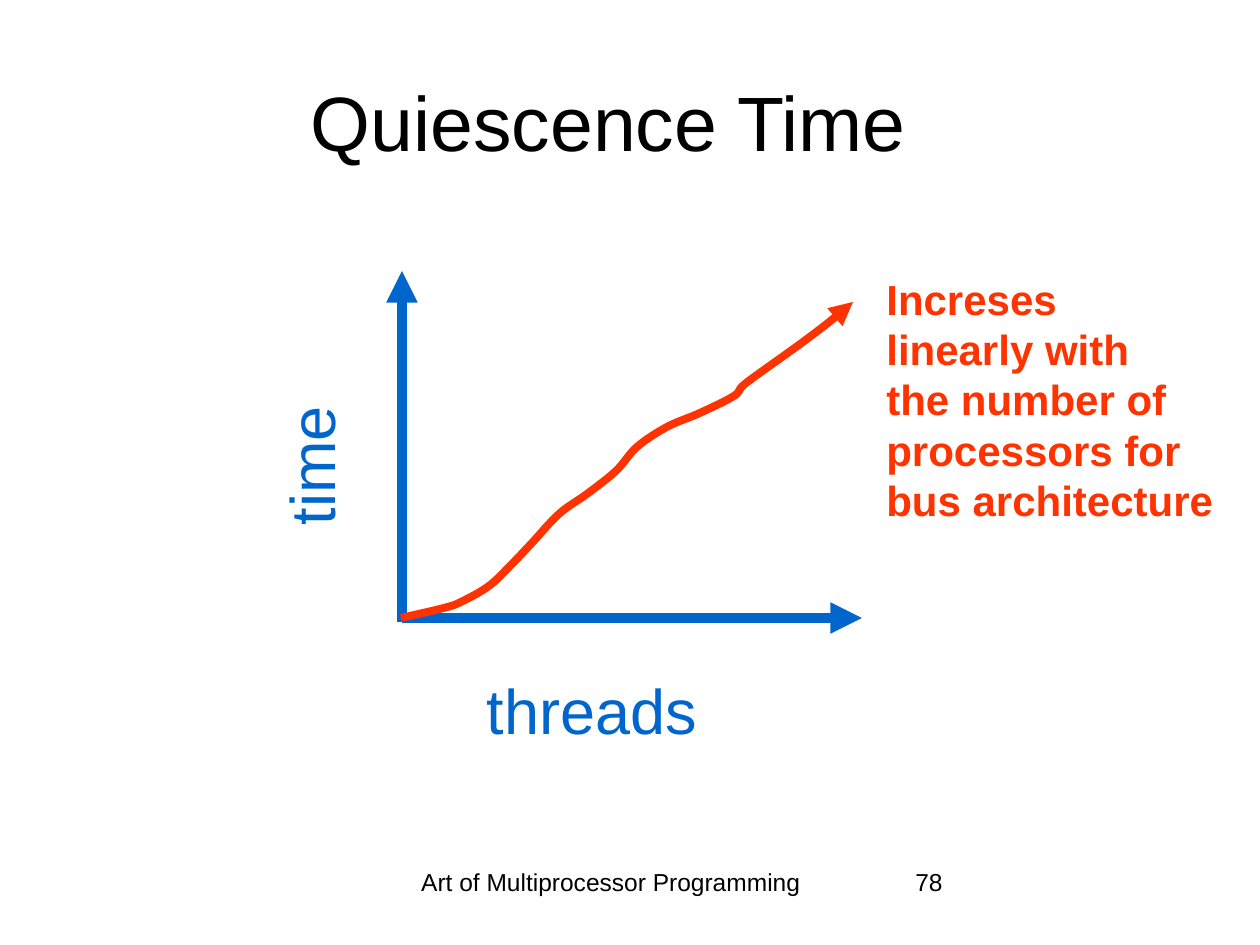
from lxml import etree
from pptx import Presentation
from pptx import util as u
from pptx.dml.color import RGBColor
from pptx.enum import shapes, text
from pptx.oxml import ns

SCALE = 914400 / 126
BLACK, BLUE, RED = "000000", "0066CC", "FF3300"
CURVE = [(0, 316), (43, 306), (60, 300), (88, 284), (111, 262), (131, 241),
         (158, 212), (186, 192), (215, 169), (236, 145), (266, 125), (299, 111),
         (333, 94), (344, 82), (384, 53), (402, 40), (427, 21), (452, 0)]


def px(length):
    """Turn a length in px into EMU."""
    return u.Emu(round(length * SCALE))


def color(value):
    """Turn a hex string into a colour."""
    return RGBColor.from_string(value)


def write(shape, lines, size, ink, align=text.PP_ALIGN.LEFT, bold=False):
    """Fill a shape with one paragraph per line."""
    shape.text_frame.text = "\n".join(lines)
    for paragraph in shape.text_frame.paragraphs:
        paragraph.alignment = align
        for run in paragraph.runs:
            run.font.name = "Arial"
            run.font.size = u.Pt(size)
            run.font.bold = bold
            run.font.color.rgb = color(ink)


def add_label(slide, box, lines, size, ink, wrap=False, **style):
    """Add a text box at the given box and return it."""
    label = slide.shapes.add_textbox(*map(px, box))
    label.text_frame.word_wrap = wrap
    write(label, lines, size, ink, **style)
    return label


def style_arrow(shape, ink, width):
    """Give a line its colour, width and arrowhead, without a shadow."""
    shape.line.color.rgb = color(ink)
    shape.line.width = u.Pt(width)
    line = shape._element.spPr.find(ns.qn("a:ln"))
    etree.SubElement(line, ns.qn("a:tailEnd"), type="triangle")
    etree.SubElement(shape._element.spPr, ns.qn("a:effectLst"))


def add_axis(slide, start, end):
    """Draw one axis as an arrow."""
    axis = slide.shapes.add_connector(
        shapes.MSO_CONNECTOR.STRAIGHT, *map(px, start + end))
    style_arrow(axis, BLUE, 6)


def add_curve(slide, left, top):
    """Draw the measured curve as smooth Bezier segments through its points."""
    points = [(px(x), px(y)) for x, y in CURVE]
    placed = [(px(left) + x, px(top) + y) for x, y in points]
    builder = slide.shapes.build_freeform(*placed[0], scale=1.0)
    builder.add_line_segments(placed[1:], close=False)
    curve = builder.convert_to_shape()
    padded = points[:1] + points + points[-1:]
    segments = list(curve._element.iter(ns.qn("a:lnTo")))
    for segment, before, start, end, after in zip(
            segments, padded, padded[1:], padded[2:], padded[3:]):
        first = [s + (e - b) / 6 for b, s, e in zip(before, start, end)]
        second = [e - (a - s) / 6 for s, e, a in zip(start, end, after)]
        bezier = etree.Element(ns.qn("a:cubicBezTo"))
        for x, y in (first, second, end):
            etree.SubElement(bezier, ns.qn("a:pt"), x=str(round(x)), y=str(round(y)))
        segment.getparent().replace(segment, bezier)
    curve.fill.background()
    style_arrow(curve, RED, 4.5)


def add_title(slide, box):
    """Place and fill the title placeholder."""
    title = slide.shapes.title
    title.left, title.top, title.width, title.height = map(px, box)
    title.text_frame.vertical_anchor = text.MSO_ANCHOR.MIDDLE
    write(title, ["Quiescence Time"], 44, BLACK, text.PP_ALIGN.CENTER)


def add_graph(slide, left, top, width, height):
    """Draw the axes, their labels, the curve and its remark in a box."""
    bottom = top + height
    add_axis(slide, (left, bottom + 4), (left, top))
    add_axis(slide, (left, bottom), (left + width, bottom))
    time = add_label(slide, (left - 136, top + 123, 102, 132), ["time"], 36, BLUE,
                     align=text.PP_ALIGN.RIGHT)
    time.text_frame._txBody.bodyPr.set("vert", "vert270")
    add_curve(slide, left - 1, top + 31)
    add_label(slide, (left + 60, bottom + 47, 260, 102), ["threads"], 36, BLUE,
              align=text.PP_ALIGN.CENTER)
    remark = ["Increses", "linearly with", "the number of",
              "processors for", "bus architecture"]
    add_label(slide, (left + 472, top - 4, 355, 267), remark, 24, RED, bold=True)


def add_footer(slide, top, height):
    """Add the footer text and the page number."""
    add_label(slide, (364, top, 494, height), ["Art of Multiprocessor Programming"],
              14, BLACK, wrap=True, align=text.PP_ALIGN.CENTER)
    add_label(slide, (903, top, 262, height), ["78"], 14, BLACK, wrap=True)


def main():
    """Build the slide and save it."""
    presentation = Presentation()
    presentation.slide_width, presentation.slide_height = px(1260), px(945)
    slide = presentation.slides.add_slide(presentation.slide_layouts[5])
    add_footer(slide, 861, 63)
    add_title(slide, (73, 42, 1071, 157))
    add_graph(slide, 402, 271, 460, 347)
    presentation.save("out.pptx")


if __name__ == "__main__":
    main()
